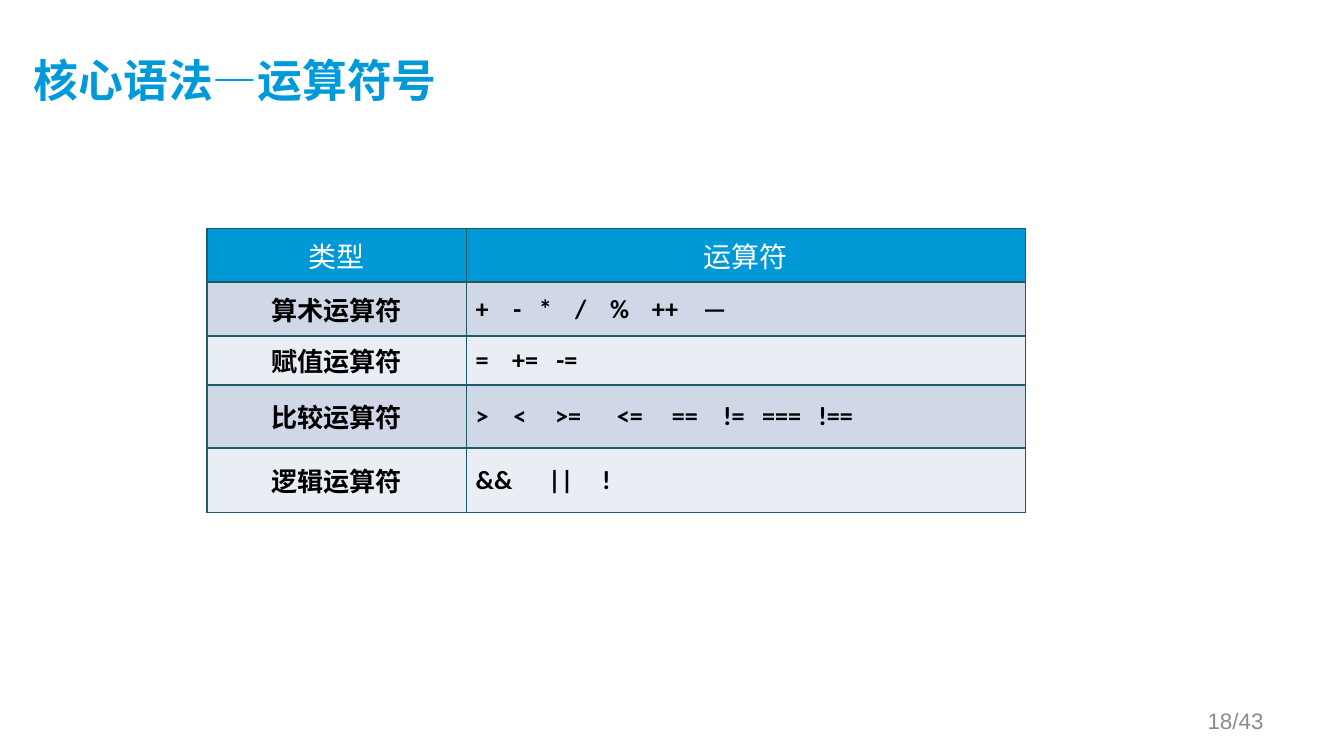
from lxml.etree import SubElement
from pptx import Presentation
from pptx.dml.color import RGBColor
from pptx.enum.text import MSO_ANCHOR as Anchor, MSO_AUTO_SIZE as AutoSize, PP_ALIGN as Align
from pptx.oxml import parse_xml
from pptx.oxml.ns import nsdecls, qn
from pptx.util import Inches, Pt

COLORS = {
    "title": "009ADA", "header": "0099D8", "header_text": "FFFFFF",
    "odd": "D0D8E8", "even": "E9EDF4", "body_text": "000000",
    "border": "215968", "page": "8C8C8C",
}
HEADINGS = ["类型", "运算符"]
OPERATORS = [
    ("算术运算符", ["+", "-", "*", "/", "%", "++", "—"], [0.28, 0.47, 0.74, 1, 1.31, 1.69]),
    ("赋值运算符", ["=", "+=", "-="], [0.27, 0.6]),
    ("比较运算符", [">", "<", ">=", "<=", "==", "!=", "===", "!=="],
     [0.28, 0.59, 1.05, 1.46, 1.84, 2.13, 2.55]),
    ("逻辑运算符", ["&&", "||", "!"], [0.54, 0.94]),
]
COLUMN_WIDTHS = [1.93, 4.16]
ROW_HEIGHTS = [0.4, 0.4, 0.36, 0.47, 0.48]


def style(paragraph, size, color, face, bold=False, align=Align.LEFT):
    """Format a whole paragraph."""
    paragraph.alignment = align
    font = paragraph.font
    font.size, font.name, font.bold = Pt(size), face, bold
    font.color.rgb = RGBColor.from_string(COLORS[color])


def set_margins(holder, left, top, right, bottom):
    """Set the inner margins of a cell or text frame in inches."""
    holder.margin_left, holder.margin_top = Inches(left), Inches(top)
    holder.margin_right, holder.margin_bottom = Inches(right), Inches(bottom)


def add_tab_stops(paragraph, positions):
    """Put left tab stops at the given inches."""
    tabs = SubElement(paragraph._p.get_or_add_pPr(), qn("a:tabLst"))
    for position in positions:
        SubElement(tabs, qn("a:tab"), pos=str(Inches(position)), algn="l")


def add_borders(cell):
    """Draw a thin line on all four sides of a cell."""
    properties = cell._tc.get_or_add_tcPr()
    for index, side in enumerate(["lnL", "lnR", "lnT", "lnB"]):
        properties.insert(index, parse_xml(
            f'<a:{side} {nsdecls("a")} w="{Pt(1)}"><a:solidFill>'
            f'<a:srgbClr val="{COLORS["border"]}"/></a:solidFill></a:{side}>'))


def fill_cell(cell, text, fill, size, color, bold, align, stops=()):
    """Write and format one table cell."""
    cell.fill.solid()
    cell.fill.fore_color.rgb = RGBColor.from_string(COLORS[fill])
    cell.vertical_anchor = Anchor.MIDDLE
    set_margins(cell, 0.07, 0.04, 0.07, 0.04)
    add_borders(cell)
    paragraph = cell.text_frame.paragraphs[0]
    paragraph.text = text
    if stops:
        add_tab_stops(paragraph, stops)
    style(paragraph, size, color, "Calibri", bold, align)


def place_title(slide, left, top, width, height):
    """Move and format the title placeholder."""
    title = slide.shapes.title
    title.left, title.top = Inches(left), Inches(top)
    title.width, title.height = Inches(width), Inches(height)
    frame = title.text_frame
    frame.auto_size, frame.vertical_anchor = AutoSize.NONE, Anchor.MIDDLE
    set_margins(frame, 0, 0, 0.1, 0.05)
    frame.text = "核心语法—运算符号"
    heading = frame.paragraphs[0]
    style(heading, 24, "title", "Noto Sans CJK SC", True)
    SubElement(heading.font._rPr, qn("a:ea"), typeface="Noto Sans CJK SC")


def add_operator_table(slide, left, top):
    """Add the table of operator types."""
    table = slide.shapes.add_table(
        len(ROW_HEIGHTS), len(COLUMN_WIDTHS), Inches(left), Inches(top),
        Inches(sum(COLUMN_WIDTHS)), Inches(sum(ROW_HEIGHTS))).table
    for column, width in zip(table.columns, COLUMN_WIDTHS):
        column.width = Inches(width)
    for row, height in zip(table.rows, ROW_HEIGHTS):
        row.height = Inches(height)
    for column, heading in enumerate(HEADINGS):
        fill_cell(table.cell(0, column), heading, "header", 15, "header_text",
                  False, Align.CENTER)
    for row, (kind, symbols, stops) in enumerate(OPERATORS, 1):
        fill = "odd" if row % 2 else "even"
        fill_cell(table.cell(row, 0), kind, fill, 14, "body_text", True, Align.CENTER)
        fill_cell(table.cell(row, 1), "\t".join(symbols), fill, 14, "body_text",
                  True, Align.LEFT, stops)


def add_page_number(slide, left, top, width, height):
    """Add the page count at the lower right."""
    page = slide.shapes.add_textbox(
        Inches(left), Inches(top), Inches(width), Inches(height)).text_frame
    page.word_wrap, page.vertical_anchor = True, Anchor.MIDDLE
    page.text = "18/43"
    style(page.paragraphs[0], 12, "page", "Arial", align=Align.RIGHT)


def main():
    """Build and save the slide."""
    deck = Presentation()
    deck.slide_width = Inches(10)
    deck.slide_height = deck.slide_width * 9 // 16
    slide = deck.slides.add_slide(deck.slide_layouts[5])
    place_title(slide, 0.25, 0.23, 9.01, 0.77)
    add_operator_table(slide, 1.54, 1.7)
    add_page_number(slide, 7.17, 5.21, 2.33, 0.3)
    deck.save("out.pptx")


if __name__ == "__main__":
    main()
